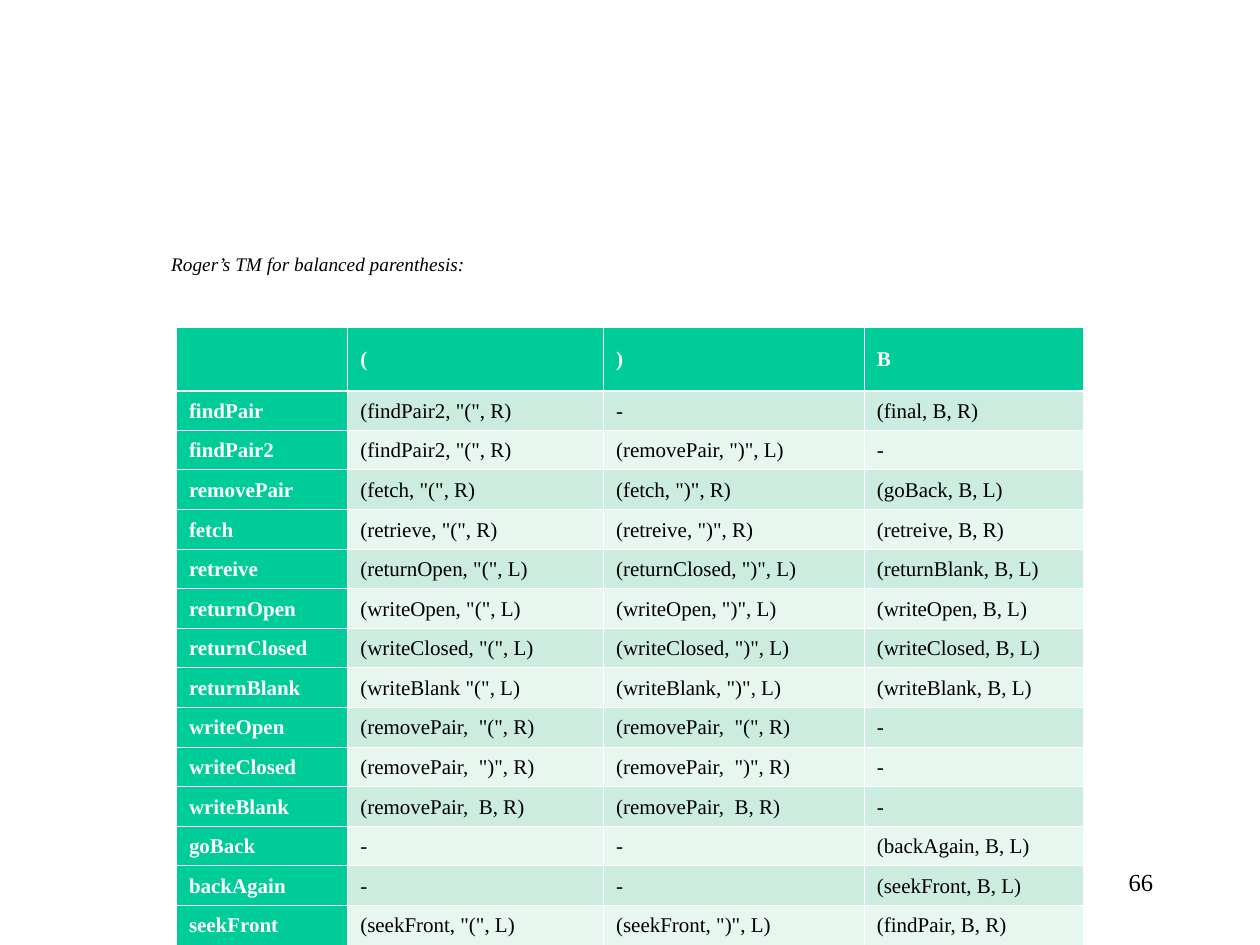
from lxml import etree
from pptx import Presentation
from pptx.dml.color import RGBColor
from pptx.enum.text import MSO_ANCHOR, PP_ALIGN
from pptx.oxml.ns import qn
from pptx.util import Inches, Pt

LEFT, RIGHT = PP_ALIGN.LEFT, PP_ALIGN.RIGHT
MIDDLE = MSO_ANCHOR.MIDDLE
BLANK_LAYOUT = 6

SYMBOLS = ["", "(", ")", "B"]
TRANSITIONS = [
    ["findPair", '(findPair2, "(", R)', "-", "(final, B, R)"],
    ["findPair2", '(findPair2, "(", R)', '(removePair, ")", L)', "-"],
    ["removePair", '(fetch, "(", R)', '(fetch, ")", R)', "(goBack, B, L)"],
    ["fetch", '(retrieve, "(", R)', '(retreive, ")", R)', "(retreive, B, R)"],
    ["retreive", '(returnOpen, "(", L)', '(returnClosed, ")", L)', "(returnBlank, B, L)"],
    ["returnOpen", '(writeOpen, "(", L)', '(writeOpen, ")", L)', "(writeOpen, B, L)"],
    ["returnClosed", '(writeClosed, "(", L)', '(writeClosed, ")", L)', "(writeClosed, B, L)"],
    ["returnBlank", '(writeBlank "(", L)', '(writeBlank, ")", L)', "(writeBlank, B, L)"],
    ["writeOpen", '(removePair,  "(", R)', '(removePair,  "(", R)', "-"],
    ["writeClosed", '(removePair,  ")", R)', '(removePair,  ")", R)', "-"],
    ["writeBlank", "(removePair,  B, R)", "(removePair,  B, R)", "-"],
    ["goBack", "-", "-", "(backAgain, B, L)"],
    ["backAgain", "-", "-", "(seekFront, B, L)"],
    ["seekFront", '(seekFront, "(", L)', '(seekFront, ")", L)', "(findPair, B, R)"],
]


def color(value):
    return RGBColor.from_string(value)


def write(frame, text, size=12, ink="000000", bold=False, italic=False,
          align=LEFT, spacing=None):
    paragraph = frame.paragraphs[0]
    paragraph.alignment = align
    if spacing:
        paragraph.line_spacing = spacing
    if not text:
        # An empty cell keeps its height through the end-of-paragraph size
        etree.SubElement(paragraph._p, qn("a:endParaRPr"), sz=str(size * 100))
        return
    run = paragraph.add_run()
    run.text = text
    run.font.name = "Times New Roman"
    run.font.size = Pt(size)
    run.font.bold = bold
    run.font.italic = italic
    run.font.color.rgb = color(ink)


class MachineSlide:
    GREEN, WHITE = "00CC99", "FFFFFF"
    BANDS = ["CBECDE", "E7F6EF"]
    THIN, THICK = 0.45, 1.47

    def __init__(self, slide):
        self.slide = slide

    def text(self, left, top, width, height, text, wrap=True, **style):
        box = self.slide.shapes.add_textbox(
            Inches(left), Inches(top), Inches(width), Inches(height))
        box.text_frame.word_wrap = wrap
        write(box.text_frame, text, **style)

    def border(self, cell, side, width):
        line = etree.SubElement(cell._tc.get_or_add_tcPr(), qn(f"a:ln{side}"),
                                w=str(Pt(width)))
        fill = etree.SubElement(line, qn("a:solidFill"))
        etree.SubElement(fill, qn("a:srgbClr"), val=self.WHITE)

    def cell(self, cell, text, row, column):
        heading = row == 0 or column == 0
        for side in "LRTB":
            under_header = (row, side) in ((0, "B"), (1, "T"))
            self.border(cell, side, self.THICK if under_header else self.THIN)
        cell.fill.solid()
        cell.fill.fore_color.rgb = color(
            self.GREEN if heading else self.BANDS[(row - 1) % 2])
        cell.vertical_anchor = MIDDLE
        write(cell.text_frame, text, size=12 if text else 24, bold=heading,
              ink=self.WHITE if heading else "000000", spacing=1.07)

    def table(self, left, top, widths, row_height, rows):
        table = self.slide.shapes.add_table(
            len(rows), len(widths), Inches(left), Inches(top),
            Inches(sum(widths)), Inches(row_height * len(rows))).table
        table.first_col = True
        for column, width in zip(table.columns, widths):
            column.width = Inches(width)
        for r, texts in enumerate(rows):
            for c, text in enumerate(texts):
                self.cell(table.cell(r, c), text, r, c)


def main():
    deck = Presentation()
    deck.slide_width, deck.slide_height = Inches(10), Inches(7.5)
    page = MachineSlide(deck.slides.add_slide(deck.slide_layouts[BLANK_LAYOUT]))

    # Slide number
    page.text(7.17, 6.83, 2.08, 0.5, "66", size=14, align=RIGHT)
    # Transition table: states down, tape symbols across
    page.table(1.4, 2.6, [1.36, 2.03, 2.07, 1.74], 0.23, [SYMBOLS] + TRANSITIONS)
    # Caption
    page.text(1.26, 1.95, 2.55, 0.29, "Roger’s TM for balanced parenthesis:",
              wrap=False, size=11, italic=True)

    deck.save("out.pptx")


if __name__ == "__main__":
    main()
